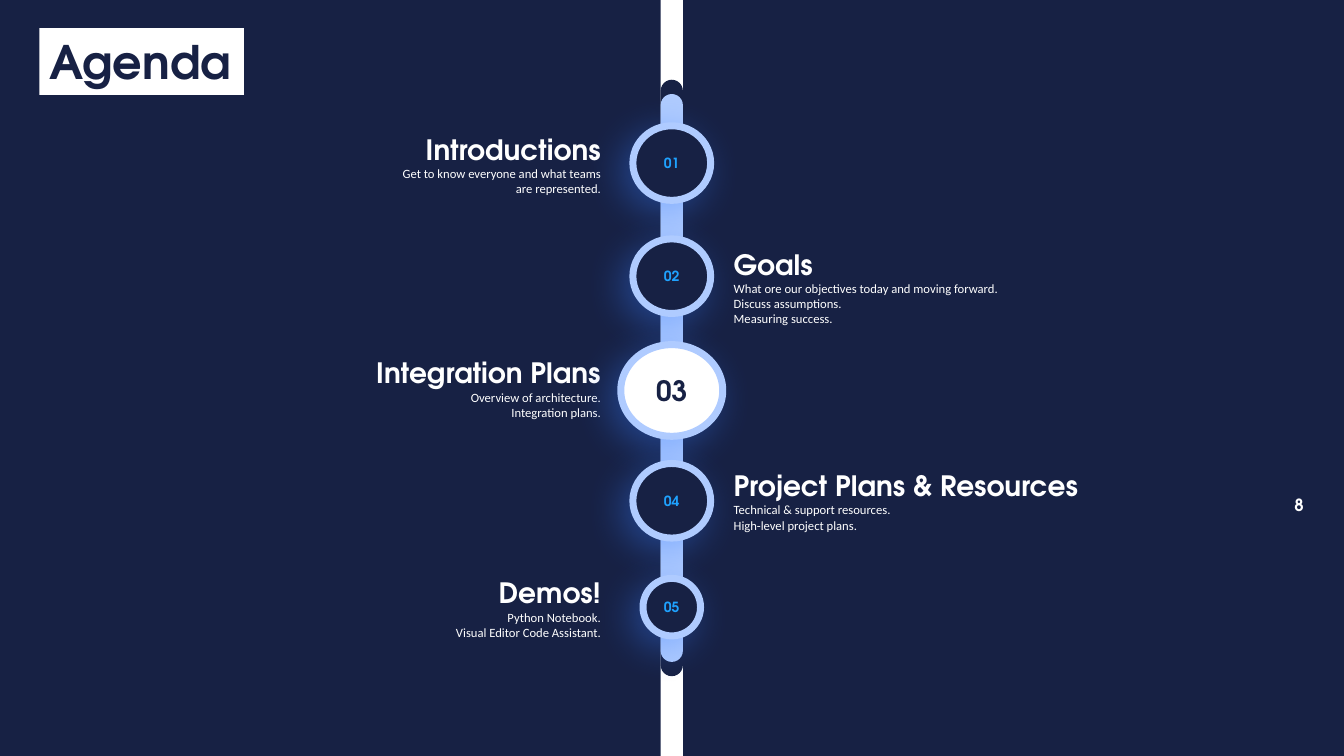
from lxml.etree import SubElement
from pptx import Presentation
from pptx.dml.color import RGBColor
from pptx.enum.shapes import MSO_SHAPE
from pptx.enum.text import MSO_ANCHOR, MSO_AUTO_SIZE, PP_ALIGN
from pptx.oxml.ns import qn
from pptx.util import Cm, Pt

THEME = {
    "navy": RGBColor(0x17, 0x21, 0x44),
    "white": RGBColor(0xFF, 0xFF, 0xFF),
    "sky": RGBColor(0xAF, 0xCB, 0xFF),
    "azure": RGBColor(0x1F, 0xA2, 0xFF),
    "glow": "377DFF",
    "title": {"name": "TeX Gyre Adventor", "size": Pt(33), "bold": True},
    "heading": {"name": "TeX Gyre Adventor", "size": Pt(20), "bold": True},
    "detail": {"name": "Calibri", "size": Pt(9), "bold": False},
    "page": {"name": "TeX Gyre Adventor", "size": Pt(12), "bold": True},
    "node": {"name": "TeX Gyre Adventor", "size": Pt(10), "bold": True},
}
FRAME = {"auto_size": MSO_AUTO_SIZE.NONE, "word_wrap": True,
         "vertical_anchor": MSO_ANCHOR.TOP,
         "margin_left": Cm(0.25), "margin_right": Cm(0.25),
         "margin_top": Cm(0.13), "margin_bottom": Cm(0.13)}
NODE_FRAME = {**FRAME, "vertical_anchor": MSO_ANCHOR.MIDDLE,
              "margin_left": 0, "margin_right": 0,
              "margin_top": 0, "margin_bottom": 0}


def apply(obj, values):
    for name, value in values.items():
        setattr(obj, name, value)


def write(p, text, style, color, align):
    apply(p, {"alignment": align, "space_before": Pt(0), "line_spacing": 1.0})
    pPr = p._p.get_or_add_pPr()
    pPr.set("marL", "0")
    pPr.set("indent", "0")
    SubElement(pPr, qn("a:buNone"))
    r = p.add_run()
    r.text = text
    apply(r.font, THEME[style])
    r.font.color.rgb = THEME[color]


prs = Presentation()
prs.slide_width, prs.slide_height = Cm(33.87), Cm(19.05)
s = prs.slides.add_slide(prs.slide_layouts[4])
s.background.fill.solid()
s.background.fill.fore_color.rgb = THEME["navy"]

title = s.shapes.title
apply(title, {"left": Cm(0.99), "top": Cm(0.71), "width": Cm(5.16), "height": Cm(1.68)})
title.fill.solid()
title.fill.fore_color.rgb = THEME["white"]
apply(title.text_frame, {**FRAME, "word_wrap": False})
write(title.text_frame.paragraphs[0], "Agenda", "title", "navy", PP_ALIGN.LEFT)

center, bar = 16.93, 0.56
for kind, top, height, color in [
    (MSO_SHAPE.RECTANGLE, 0, 19.05, "white"),
    (MSO_SHAPE.ROUNDED_RECTANGLE, 2.01, 15.03, "navy"),
    (MSO_SHAPE.ROUNDED_RECTANGLE, 2.37, 14.31, "sky"),
]:
    sp = s.shapes.add_shape(kind, Cm(center - bar / 2), Cm(top), Cm(bar), Cm(height))
    sp.shadow.inherit = False
    sp.fill.solid()
    sp.fill.fore_color.rgb = THEME[color]
    sp.line.fill.background()
    if kind == MSO_SHAPE.ROUNDED_RECTANGLE:
        sp.adjustments[0] = 0.5

nodes = [
    (4.11, 1.96, 1.88, "navy", "azure", "node"),
    (6.96, 1.96, 1.88, "navy", "azure", "node"),
    (9.84, 2.57, 2.31, "white", "navy", "heading"),
    (12.62, 1.96, 1.88, "navy", "azure", "node"),
    (15.3, 1.45, 1.45, "navy", "azure", "node"),
]
for number, (middle, width, height, fill, color, style) in enumerate(nodes, 1):
    sp = s.shapes.add_shape(MSO_SHAPE.OVAL, Cm(center - width / 2),
                            Cm(middle - height / 2), Cm(width), Cm(height))
    sp.fill.solid()
    sp.fill.fore_color.rgb = THEME[fill]
    sp.line.color.rgb = THEME["sky"]
    sp.line.width = Pt(5)
    sp.shadow.inherit = False
    effects = sp._element.spPr.find(qn("a:effectLst"))
    shadow = SubElement(effects, qn("a:outerShdw"), blurRad=str(Pt(28)),
                        dist=str(Pt(9)), dir="8100000", algn="ctr", rotWithShape="0")
    tint = SubElement(shadow, qn("a:srgbClr"), val=THEME["glow"])
    SubElement(tint, qn("a:alpha"), val="39000")
    apply(sp.text_frame, NODE_FRAME)
    write(sp.text_frame.paragraphs[0], f"{number:02}", style, color, PP_ALIGN.CENTER)

topics = [
    (3.2, 5.82, "Introductions", ["Get to know everyone and what teams are represented."]),
    (6.1, 9.22, "Goals", ["What ore our objectives today and moving forward.",
                          "Discuss assumptions.", "Measuring success."]),
    (8.84, 6.45, "Integration Plans", ["Overview of architecture.", "Integration plans."]),
    (11.68, 9.4, "Project Plans & Resources", ["Technical & support resources.",
                                               "High-level project plans."]),
    (14.38, 6.45, "Demos!", ["Python Notebook.", "Visual Editor Code Assistant."]),
]
bodies = [sp for sp in s.placeholders if sp.placeholder_format.idx > 0]
bodies.append(s.shapes.add_textbox(0, 0, Cm(1), Cm(1)))
for i, (sp, (top, width, heading, details)) in enumerate(zip(bodies, topics)):
    on_left = i % 2 == 0
    align = PP_ALIGN.RIGHT if on_left else PP_ALIGN.LEFT
    apply(sp, {"left": Cm(15.39 - width if on_left else 18.24), "top": Cm(top),
               "width": Cm(width), "height": Cm(1.12 + 0.38 * len(details))})
    tf = sp.text_frame
    apply(tf, FRAME)
    write(tf.paragraphs[0], heading, "heading", "white", align)
    for detail in details:
        write(tf.add_paragraph(), detail, "detail", "white", align)

page = s.shapes.add_textbox(Cm(32.51), Cm(12.32), Cm(0.46), Cm(0.81))
apply(page.text_frame, {**NODE_FRAME, "word_wrap": False})
write(page.text_frame.paragraphs[0], "8", "page", "white", PP_ALIGN.CENTER)

prs.save("out.pptx")
